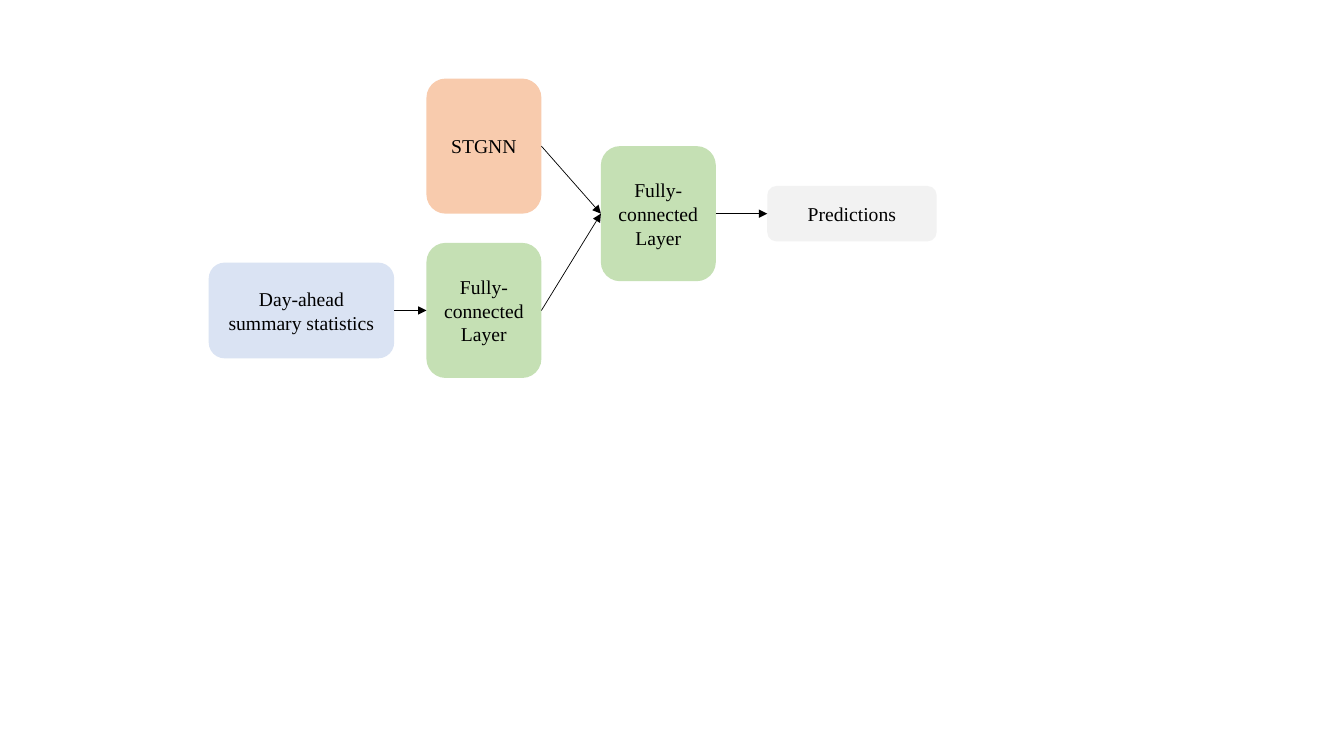
from dataclasses import dataclass

from lxml.etree import SubElement
from pptx import Presentation
from pptx.dml.color import RGBColor
from pptx.enum.shapes import MSO_CONNECTOR, MSO_SHAPE
from pptx.enum.text import MSO_ANCHOR, PP_ALIGN
from pptx.oxml.ns import qn
from pptx.shapes.autoshape import Shape
from pptx.slide import Slide
from pptx.util import Inches, Pt


@dataclass(frozen=True)
class Theme:
    font: str = "Times New Roman"
    text_size: float = 14
    line_width: float = 0.5
    ink: str = "000000"
    model: str = "F8CBAD"
    data: str = "DAE3F3"
    layer: str = "C5E0B4"
    output: str = "F2F2F2"


@dataclass(frozen=True)
class Block:
    text: str
    left: float
    middle: float
    width: float
    height: float
    fill: str


THEME = Theme()
LEFT_SITE, RIGHT_SITE = 1, 3
UNIT_WIDTH, UNIT_HEIGHT = 1.14, 1.34
BRANCH_LEFT = 4.23
MERGE_MIDDLE = 2.12
STATISTICS_MIDDLE = 3.08
LAYER_TEXT = "Fully-connected Layer"

BLOCKS = {
    "stgnn": Block("STGNN", BRANCH_LEFT, 1.45, UNIT_WIDTH, UNIT_HEIGHT, THEME.model),
    "statistics": Block("Day-ahead summary statistics", 2.07, STATISTICS_MIDDLE, 1.84, 0.95, THEME.data),
    "statistics layer": Block(LAYER_TEXT, BRANCH_LEFT, STATISTICS_MIDDLE, UNIT_WIDTH, UNIT_HEIGHT, THEME.layer),
    "merge layer": Block(LAYER_TEXT, 5.96, MERGE_MIDDLE, UNIT_WIDTH, UNIT_HEIGHT, THEME.layer),
    "predictions": Block("Predictions", 7.61, MERGE_MIDDLE, 1.68, 0.55, THEME.output),
}

FLOWS = [
    ("statistics", "statistics layer"),
    ("statistics layer", "merge layer"),
    ("stgnn", "merge layer"),
    ("merge layer", "predictions"),
]


def draw_block(slide: Slide, block: Block) -> Shape:
    shape = slide.shapes.add_shape(
        MSO_SHAPE.ROUNDED_RECTANGLE,
        Inches(block.left),
        Inches(block.middle - block.height / 2),
        Inches(block.width),
        Inches(block.height),
    )
    shape.shadow.inherit = False
    shape.fill.solid()
    shape.fill.fore_color.rgb = RGBColor.from_string(block.fill)
    shape.line.fill.background()
    frame = shape.text_frame
    frame.text = block.text
    frame.word_wrap = True
    frame.vertical_anchor = MSO_ANCHOR.MIDDLE
    paragraph = frame.paragraphs[0]
    paragraph.alignment = PP_ALIGN.CENTER
    paragraph.font.name = THEME.font
    paragraph.font.size = Pt(THEME.text_size)
    paragraph.font.color.rgb = RGBColor.from_string(THEME.ink)
    return shape


def draw_arrow(slide: Slide, source: Shape, target: Shape) -> None:
    connector = slide.shapes.add_connector(
        MSO_CONNECTOR.STRAIGHT,
        source.left + source.width,
        source.top + source.height // 2,
        target.left,
        target.top + target.height // 2,
    )
    connector.begin_connect(source, RIGHT_SITE)
    connector.end_connect(target, LEFT_SITE)
    connector.line.width = Pt(THEME.line_width)
    connector.line.color.rgb = RGBColor.from_string(THEME.ink)
    properties = connector.element.spPr
    SubElement(properties.find(qn("a:ln")), qn("a:tailEnd"), type="triangle")
    SubElement(properties, qn("a:effectLst"))


presentation = Presentation()
presentation.slide_width = Inches(13.33)
presentation.slide_height = Inches(7.5)
blank_layout = presentation.slide_layouts.get_by_name("Blank")
slide = presentation.slides.add_slide(blank_layout)

shapes = {key: draw_block(slide, block) for key, block in BLOCKS.items()}
for source_key, target_key in FLOWS:
    draw_arrow(slide, shapes[source_key], shapes[target_key])

presentation.save("out.pptx")
